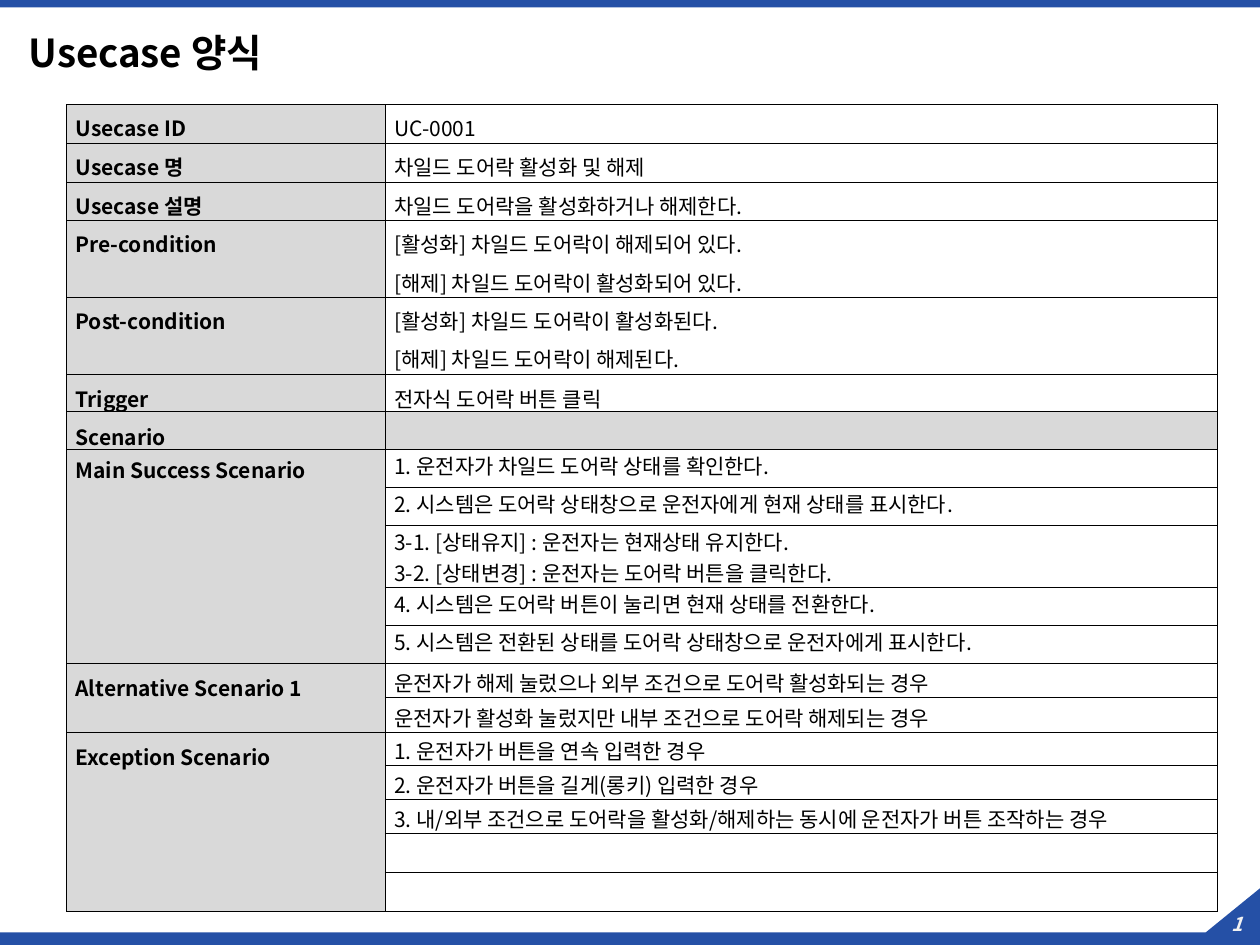
import pptx
import pptx.util
import pptx.dml.color
import pptx.enum.shapes
import pptx.enum.text
import pptx.oxml
import pptx.oxml.ns
from lxml import etree

Inches = pptx.util.Inches
Pt = pptx.util.Pt
ANCHOR = pptx.enum.text.MSO_ANCHOR
ALIGN = pptx.enum.text.PP_ALIGN
FACE = "Noto Sans CJK KR"
BLUE, GREY, WHITE, BLACK = "2550A6", "D9D9D9", "FFFFFF", "000000"

# Text styles: top inset (in), line height (pt), space between lines (pt)
STYLES = {
    "plain": (0.06, None, 4.7),
    "low": (0.07, None, 4.7),
    "main": (0.08, 13.9, 0),
    "step": (0.05, 14.3, 3.5),
    "alt": (0.08, 13.9, 0),
    "fault": (0.07, 14.2, 0),
}

# Groups: label, label style, value style, rows of (height, lines)
GROUPS = [
    ("Usecase ID", "plain", "plain", [(0.31, ["UC-0001"])]),
    ("Usecase 명", "plain", "plain", [(0.31, ["차일드 도어락 활성화 및 해제"])]),
    ("Usecase 설명", "plain", "plain",
     [(0.3, ["차일드 도어락을 활성화하거나 해제한다."])]),
    ("Pre-condition", "plain", "plain",
     [(0.61, ["[활성화] 차일드 도어락이 해제되어 있다.",
              "[해제] 차일드 도어락이 활성화되어 있다."])]),
    ("Post-condition", "plain", "plain",
     [(0.61, ["[활성화] 차일드 도어락이 활성화된다.",
              "[해제] 차일드 도어락이 해제된다."])]),
    ("Trigger", "low", "low", [(0.3, ["전자식 도어락 버튼 클릭"])]),
    ("Scenario", "low", "low", [(0.3, [])]),
    ("Main Success Scenario", "main", "step", [
        (0.3, ["1. 운전자가 차일드 도어락 상태를 확인한다."]),
        (0.3, ["2. 시스템은 도어락 상태창으로 운전자에게 현재 상태를 표시한다."]),
        (0.49, ["3-1. [상태유지] : 운전자는 현재상태 유지한다.",
                "3-2. [상태변경] : 운전자는 도어락 버튼을 클릭한다."]),
        (0.3, ["4. 시스템은 도어락 버튼이 눌리면 현재 상태를 전환한다."]),
        (0.3, ["5. 시스템은 전환된 상태를 도어락 상태창으로 운전자에게 표시한다."]),
    ]),
    ("Alternative Scenario 1", "low", "alt", [
        (0.27, ["운전자가 해제 눌렀으나 외부 조건으로 도어락 활성화되는 경우"]),
        (0.27, ["운전자가 활성화 눌렀지만 내부 조건으로 도어락 해제되는 경우"]),
    ]),
    ("Exception Scenario", "low", "fault", [
        (0.26, ["1. 운전자가 버튼을 연속 입력한 경우"]),
        (0.26, ["2. 운전자가 버튼을 길게(롱키) 입력한 경우"]),
        (0.26, ["3. 내/외부 조건으로 도어락을 활성화/해제하는 동시에 "
                "운전자가 버튼 조작하는 경우"]),
        (0.31, []),
        (0.31, []),
    ]),
]
WIDTHS = [2.53, 6.6]
CORNER = [(10, 7.05), (10, 7.5), (0, 7.5), (0, 7.4), (9.57, 7.4)]


def color(code):
    return pptx.dml.color.RGBColor.from_string(code)


def paint(shape):
    shape.shadow.inherit = False
    shape.fill.solid()
    shape.fill.fore_color.rgb = color(BLUE)
    shape.line.fill.background()


def write(para, text, hue=BLACK, **look):
    run = para.add_run()
    run.text = text
    for name, value in {"name": FACE, **look}.items():
        setattr(run.font, name, value)
    run.font.color.rgb = color(hue)
    face = etree.SubElement(run.font._element, pptx.oxml.ns.qn("a:ea"))
    face.set("typeface", FACE)


def label(slide, box, text, inset, align, hue, **look):
    frame = slide.shapes.add_textbox(*map(Inches, box)).text_frame
    frame.word_wrap = True
    frame.vertical_anchor = ANCHOR.MIDDLE
    for side, gap in zip(("left", "top", "right", "bottom"), inset):
        setattr(frame, "margin_" + side, Inches(gap))
    para = frame.paragraphs[0]
    para.alignment = align
    write(para, text, hue, **look)
    return para


def border(cell):
    props = cell._tc.get_or_add_tcPr()
    for spot, side in enumerate("LRTB"):
        props.insert(spot, pptx.oxml.parse_xml(
            f'<a:ln{side} {pptx.oxml.ns.nsdecls("a")} w="{Pt(0.75)}">'
            f'<a:solidFill><a:srgbClr val="{BLACK}"/></a:solidFill>'
            f'</a:ln{side}>'))


def fill(cell, lines, style, shade, bold):
    top, pitch, gap = STYLES[style]
    edges = {"left": 0.07, "top": top, "right": 0, "bottom": 0}
    for side, size in edges.items():
        setattr(cell, "margin_" + side, Inches(size))
    cell.fill.solid()
    cell.fill.fore_color.rgb = color(shade)
    frame = cell.text_frame
    for spot, line in enumerate(lines):
        para = frame.add_paragraph() if spot else frame.paragraphs[0]
        if pitch:
            para.line_spacing = Pt(pitch)
        if spot:
            para.space_before = Pt(gap)
        write(para, line, size=Pt(12), bold=bold)
    if not lines:
        # Keep an empty cell from growing its row
        end = etree.SubElement(frame.paragraphs[0]._p,
                               pptx.oxml.ns.qn("a:endParaRPr"))
        end.set("sz", "1200")


def build():
    deck = pptx.Presentation()
    deck.slide_width, deck.slide_height = Inches(10), Inches(7.5)
    slide = deck.slides.add_slide(deck.slide_layouts[6])

    # Top bar, bottom bar with corner, page number
    kind = pptx.enum.shapes.MSO_SHAPE.RECTANGLE
    paint(slide.shapes.add_shape(kind, 0, 0, Inches(10), Inches(0.06)))
    points = [(Inches(x), Inches(y)) for x, y in CORNER]
    path = slide.shapes.build_freeform(*points[0])
    path.add_line_segments(points[1:], close=True)
    paint(path.convert_to_shape())
    label(slide, (9.61, 7.19, 0.42, 0.29), "1", (0, 0, 0, 0), ALIGN.CENTER,
          "F2F2F2", size=Pt(11), bold=True, italic=True)

    # Title
    title = label(slide, (0.13, 0.21, 9.47, 0.46), "Usecase 양식",
                  (0.1, 0.05, 0.1, 0.05), ALIGN.LEFT, BLACK,
                  size=Pt(22), bold=True)
    title.line_spacing = 0.9

    # Use case table
    sizes = [high for group in GROUPS for high, _ in group[3]]
    table = slide.shapes.add_table(
        len(sizes), 2, Inches(0.53), Inches(0.83),
        Inches(sum(WIDTHS)), Inches(sum(sizes))).table
    table.first_row = table.horz_banding = False
    for col, wide in zip(table.columns, WIDTHS):
        col.width = Inches(wide)
    for row, high in zip(table.rows, sizes):
        row.height = Inches(high)
    start = 0
    for name, head, body, rows in GROUPS:
        for spot, (_, lines) in enumerate(rows):
            row = start + spot
            fill(table.cell(row, 0), [] if spot else [name], head, GREY, True)
            shade = GREY if name == "Scenario" else WHITE
            fill(table.cell(row, 1), lines, body, shade, False)
        last = start + len(rows) - 1
        if last > start:
            table.cell(start, 0).merge(table.cell(last, 0))
        start = last + 1
    for cell in table.iter_cells():
        border(cell)

    deck.save("out.pptx")


if __name__ == "__main__":
    build()
